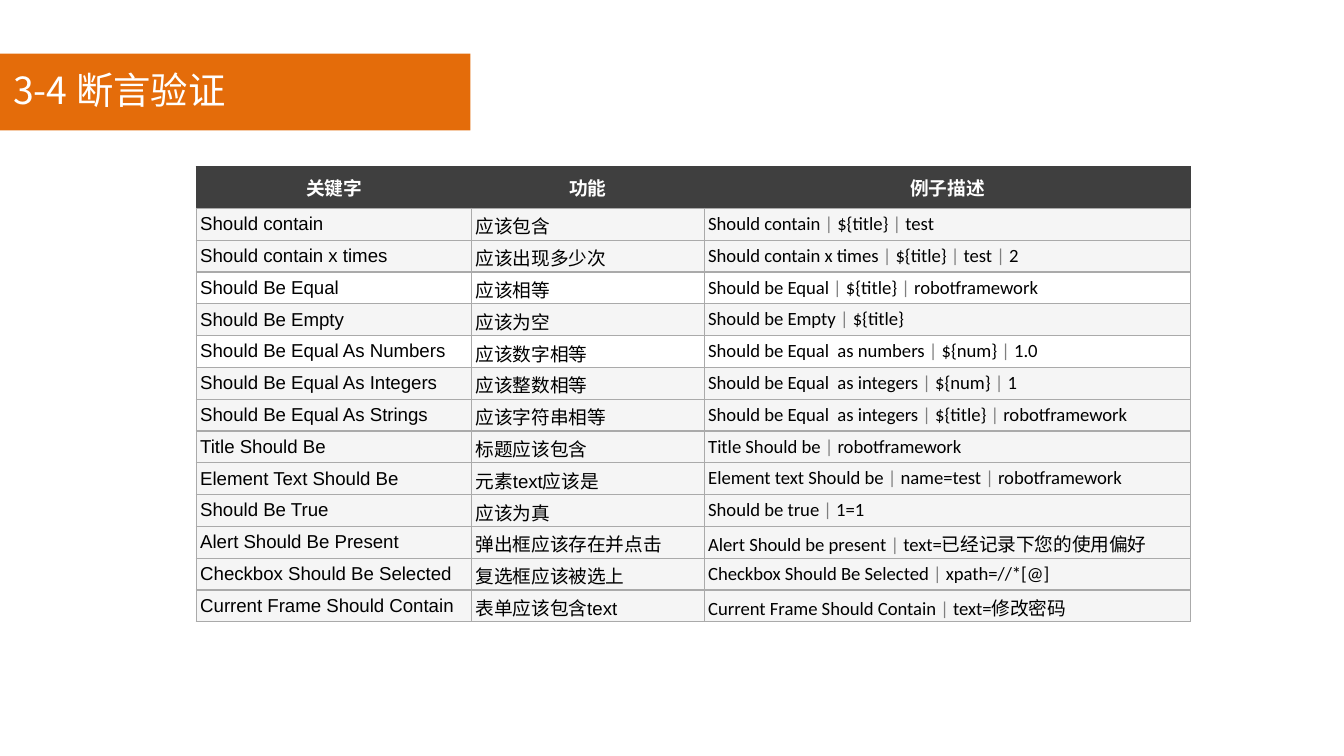
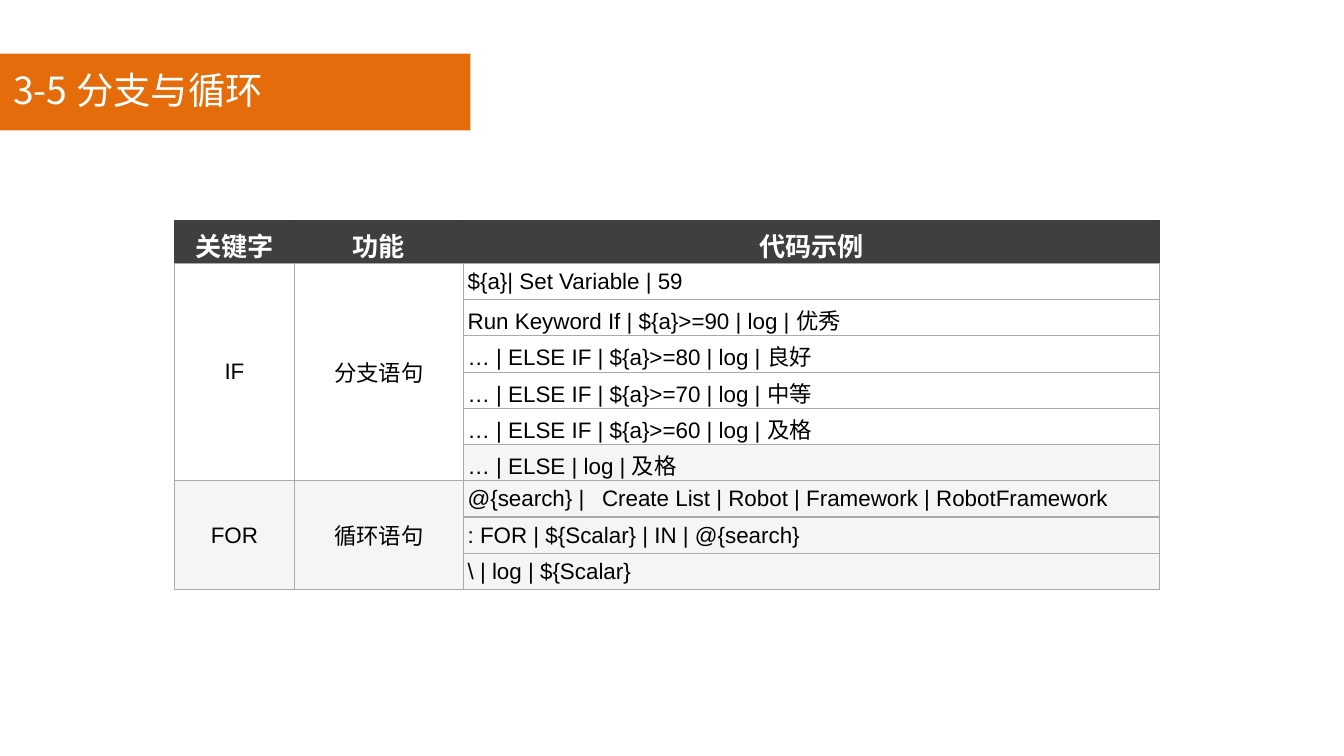
from lxml.etree import SubElement
from pptx import Presentation
from pptx.dml.color import RGBColor
from pptx.enum.shapes import MSO_SHAPE
from pptx.enum.text import MSO_ANCHOR, PP_ALIGN
from pptx.oxml.ns import qn
from pptx.util import Inches, Pt

WIDTH = 10
HEIGHT = WIDTH * 9 / 16
ORANGE, DARK, GRID = "E46C0A", "3F3F3F", "AAAAAA"
WHITE, PALE, BLACK, GREY = "FFFFFF", "F5F5F5", "000000", "7F7F7F"
TITLE_FONT, HEAD_FONT, BODY_FONT = "Noto Sans CJK SC", "Calibri", "Arial"

ASSERTIONS = [
    ("Should contain", "应该包含", "Should contain | ${title} | test"),
    ("Should contain x times", "应该出现多少次",
     "Should contain x times | ${title} | test | 2"),
    ("Should Be Equal", "应该相等", "Should be Equal | ${title} | robotframework"),
    ("Should Be Empty", "应该为空", "Should be Empty | ${title}"),
    ("Should Be Equal As Numbers", "应该数字相等",
     "Should be Equal  as numbers | ${num} | 1.0"),
    ("Should Be Equal As Integers", "应该整数相等",
     "Should be Equal  as integers | ${num} | 1"),
    ("Should Be Equal As Strings", "应该字符串相等",
     "Should be Equal  as integers | ${title} | robotframework"),
    ("Title Should Be", "标题应该包含", "Title Should be | robotframework"),
    ("Element Text Should Be", "元素text应该是",
     "Element text Should be | name=test | robotframework"),
    ("Should Be True", "应该为真", "Should be true | 1=1"),
    ("Alert Should Be Present", "弹出框应该存在并点击",
     "Alert Should be present | text=已经记录下您的使用偏好"),
    ("Checkbox Should Be Selected", "复选框应该被选上",
     "Checkbox Should Be Selected | xpath=//*[@]"),
    ("Current Frame Should Contain", "表单应该包含text",
     "Current Frame Should Contain | text=修改密码"),
]
WHITE_ASSERTIONS = ("Should Be Equal", "Should Be Equal As Numbers")

STATEMENTS = [
    ("IF", "分支语句", [
        "${a}| Set Variable | 59",
        "Run Keyword If | ${a}>=90 | log | 优秀",
        "… | ELSE IF | ${a}>=80 | log | 良好",
        "… | ELSE IF | ${a}>=70 | log | 中等",
        "… | ELSE IF | ${a}>=60 | log | 及格",
        "… | ELSE | log | 及格"]),
    ("FOR", "循环语句", [
        "@{search} |\tCreate List | Robot | Framework | RobotFramework",
        ": FOR | ${Scalar} | IN | @{search}",
        "\\ | log | ${Scalar} "]),
]


def rgb(code):
    """Turn a hex string into a colour."""
    return RGBColor.from_string(code)


def style_run(r, size, font, color, bold=False):
    """Format one run."""
    r.font.size, r.font.name, r.font.bold = Pt(size), font, bold
    r.font.color.rgb = rgb(color)


def add_titled_slide(prs, title):
    """Add a blank slide with the orange band and its title."""
    slide = prs.slides.add_slide(prs.slide_layouts[6])
    band = slide.shapes.add_shape(MSO_SHAPE.RECTANGLE, 0, Inches(0.4),
                                  Inches(0.35 * WIDTH), Inches(0.57))
    band.shadow.inherit = False
    band.fill.solid()
    band.fill.fore_color.rgb = rgb(ORANGE)
    band.line.fill.background()
    tf = slide.shapes.add_textbox(0, Inches(0.45), Inches(3.27),
                                  Inches(0.44)).text_frame
    tf.word_wrap = True
    tf.text = title
    r = tf.paragraphs[0].runs[0]
    style_run(r, 20, TITLE_FONT, WHITE)
    SubElement(r.font._element, qn("a:ea"), typeface=TITLE_FONT)
    return slide


def set_borders(cell, side_color):
    """Draw the cell's four edges; the bottom one is always grid grey."""
    tc_pr = cell._tc.get_or_add_tcPr()
    edges = {"L": side_color, "R": side_color, "T": side_color, "B": GRID}
    for i, (edge, color) in enumerate(edges.items()):
        ln = SubElement(tc_pr, qn(f"a:ln{edge}"), w=str(Pt(0.75)))
        fill = SubElement(ln, qn("a:solidFill"))
        SubElement(fill, qn("a:srgbClr"), val=color)
        tc_pr.insert(i, ln)


def paint_cell(cell, fill, edge, inset):
    """Set a cell's fill, edges, insets and anchor."""
    cell.fill.solid()
    cell.fill.fore_color.rgb = rgb(fill)
    cell.margin_left = cell.margin_right = Inches(inset)
    cell.margin_top = cell.margin_bottom = Inches(inset)
    cell.vertical_anchor = MSO_ANCHOR.MIDDLE
    set_borders(cell, edge)


def write_cell(cell, text, size, font=BODY_FONT, color=BLACK, bold=False,
               center=False):
    """Write one plain line in a cell."""
    p = cell.text_frame.paragraphs[0]
    p.text = text
    if center:
        p.alignment = PP_ALIGN.CENTER
    for r in p.runs:
        style_run(r, size, font, color, bold)


def write_example(cell, text, size):
    """Write a line whose separators are grey."""
    p = cell.text_frame.paragraphs[0]
    parts = text.split("| ")
    for i, part in enumerate(parts):
        pieces = [(part, BLACK)] if i == 0 else [("| ", GREY), (part, BLACK)]
        for piece, color in pieces:
            r = p.add_run()
            r.text = piece
            style_run(r, size, HEAD_FONT, color)


def add_grid(slide, left, top, cols, heads, head_size, head_height, fills,
             height):
    """Add a table with a dark header and one equal body row for each fill."""
    row_height = (height - head_height) / len(fills)
    table = slide.shapes.add_table(
        len(fills) + 1, len(cols), Inches(left), Inches(top),
        Inches(sum(cols)), Inches(height)).table
    table.horz_banding = False
    for column, width in zip(table.columns, cols):
        column.width = Inches(width)
    for i, row in enumerate(table.rows):
        row.height = Inches(row_height if i else head_height)
        for cell in row.cells:
            if i:
                paint_cell(cell, fills[i - 1], GRID, 0.03)
            else:
                paint_cell(cell, DARK, DARK, 0.04)
    for i, head in enumerate(heads):
        write_cell(table.cell(0, i), head, head_size, HEAD_FONT, WHITE, True, True)
    return table


def add_assertions(prs):
    """Build the slide of assertion keywords."""
    slide = add_titled_slide(prs, "3-4 断言验证")
    fills = [WHITE if row[0] in WHITE_ASSERTIONS else PALE for row in ASSERTIONS]
    table = add_grid(slide, 1.46, 1.24, (2.05, 1.73, 3.62),
                     ("关键字", "功能", "例子描述"), 10, 0.31, fills, 3.39)
    for i, (keyword, meaning, example) in enumerate(ASSERTIONS, 1):
        write_cell(table.cell(i, 0), keyword, 10)
        write_cell(table.cell(i, 1), meaning, 10)
        write_example(table.cell(i, 2), example, 10)


def add_statements(prs):
    """Build the slide of branches and loops."""
    slide = add_titled_slide(prs, "3-5 分支与循环")
    fills = [WHITE] * 5 + [PALE] * 4
    table = add_grid(slide, 1.3, 1.64, (0.89, 1.26, 5.18),
                     ("关键字", "功能", "代码示例"), 14, 0.32, fills, 2.75)
    first = 1
    for keyword, meaning, lines in STATEMENTS:
        last = first + len(lines) - 1
        for col, text in enumerate((keyword, meaning)):
            table.cell(first, col).merge(table.cell(last, col))
            write_cell(table.cell(first, col), text, 12, center=True)
        for i, line in enumerate(lines, first):
            write_cell(table.cell(i, 2), line, 12)
        first = last + 1


def main():
    """Build and save the deck."""
    prs = Presentation()
    prs.slide_width, prs.slide_height = Inches(WIDTH), Inches(HEIGHT)
    add_assertions(prs)
    add_statements(prs)
    prs.save("out.pptx")


main()
